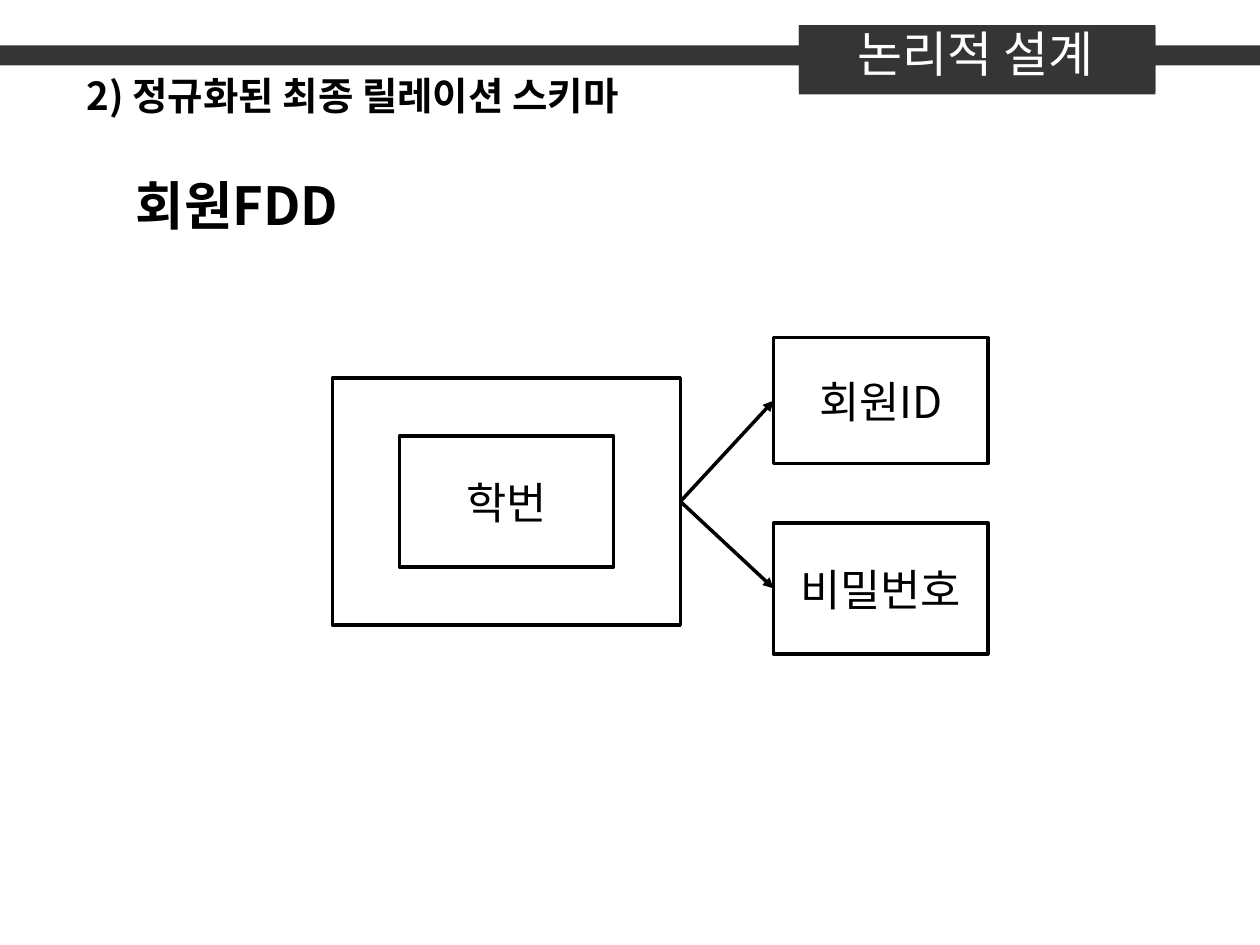
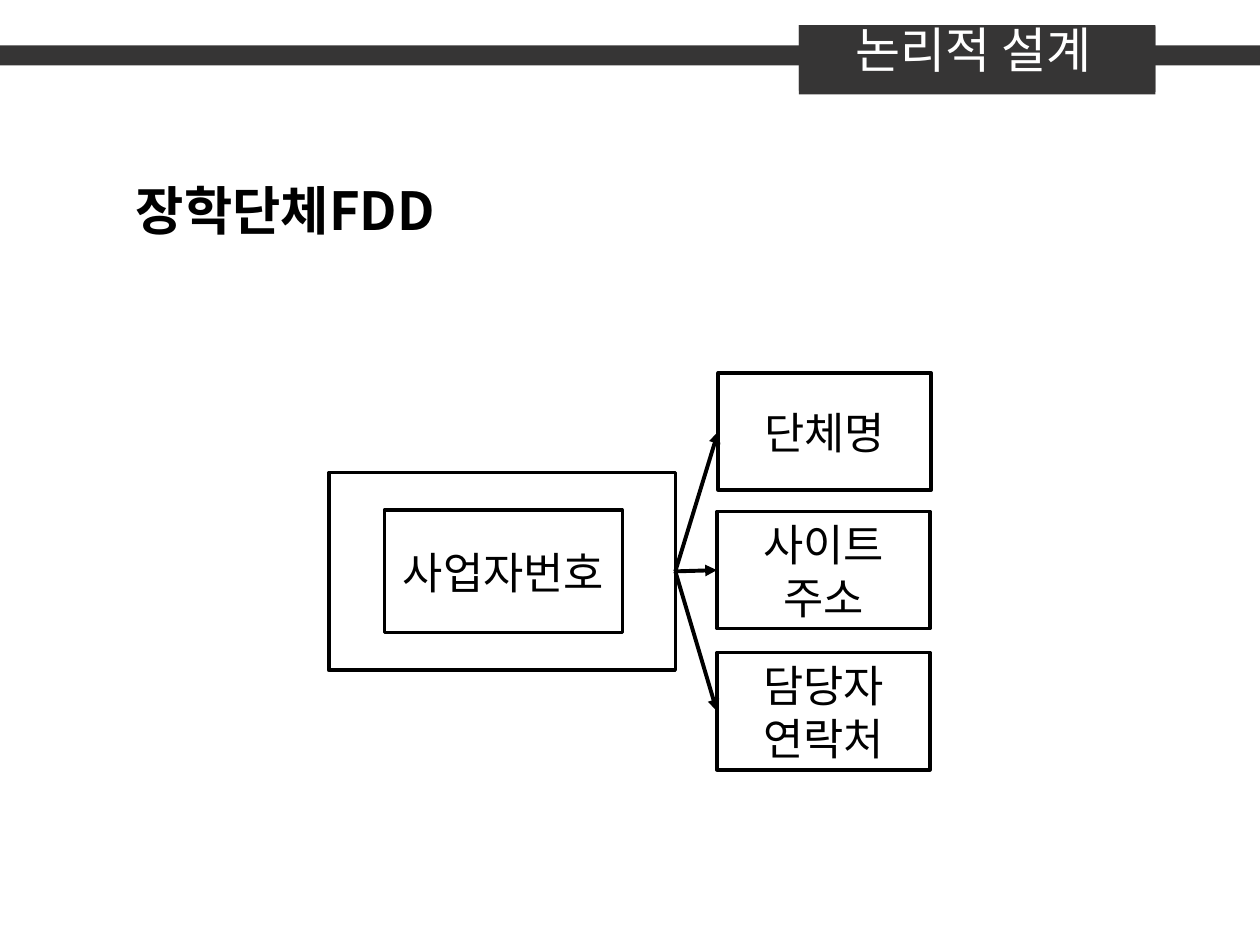
from pptx import Presentation
from pptx.dml.color import RGBColor
from pptx.enum.shapes import MSO_CONNECTOR, MSO_SHAPE
from pptx.enum.text import MSO_ANCHOR, MSO_AUTO_SIZE, PP_ALIGN
from pptx.oxml.ns import qn
from pptx.util import Inches, Pt
from lxml import etree

RECTANGLE = MSO_SHAPE.RECTANGLE
STRAIGHT = MSO_CONNECTOR.STRAIGHT
LEFT, CENTER = PP_ALIGN.LEFT, PP_ALIGN.CENTER
TOP, MIDDLE = MSO_ANCHOR.TOP, MSO_ANCHOR.MIDDLE
NO_AUTOFIT = MSO_AUTO_SIZE.NONE

FONT = "Noto Sans CJK KR"
BLACK, WHITE, BAND = "000000", "FFFFFF", "363535"
LINE_HEIGHT = 1.21
LEFT_SITE, RIGHT_SITE = 1, 3  # connection sites of a rectangle

# Header band, title tab and the two tab edges
HEADER = [
    (0, 0.36, 10, 0.16),
    (6.34, 0.2, 2.83, 0.55),
    (6.34, 0.2, 0.08, 0.52),
    (9.09, 0.21, 0.08, 0.52),
]

# Each diagram: frame around the key, the key, the attributes it determines
SLIDES = [
    {
        "title_at": (6.34, 0.13, 2.8, 0.57),
        "labels": [
            ("회원FDD", 30, (0.98, 1.32, 2.76, 0.61)),
            ("2) 정규화된 최종 릴레이션 스키마", 22, (0.59, 0.52, 4.96, 0.47)),
        ],
        "frame": (2.64, 3, 2.76, 1.96),
        "key": ("학번", (3.17, 3.46, 1.7, 1.04)),
        "attributes": [
            ("회원ID", (6.14, 2.68, 1.7, 1)),
            ("비밀번호", (6.14, 4.15, 1.7, 1.04)),
        ],
        "wrap": True,
        "arrow_width": 2,
    },
    {
        "title_at": (6.33, 0.1, 2.8, 0.57),
        "labels": [("장학단체FDD", 30, (0.98, 1.36, 3.78, 0.61))],
        "frame": (2.61, 3.75, 2.75, 1.57),
        "key": ("사업자번호", (3.05, 4.05, 1.89, 0.97)),
        "attributes": [
            ("단체명", (5.7, 2.96, 1.69, 0.93)),
            ("사이트\n주소", (5.69, 4.06, 1.69, 0.93)),
            ("담당자\n연락처", (5.69, 5.18, 1.69, 0.93)),
        ],
        "wrap": False,
        "arrow_width": 2.25,
    },
]


def color(hex_string):
    return RGBColor.from_string(hex_string)


def write(shape, text, size, ink=BLACK, bold=False, align=LEFT, anchor=TOP, wrap=True):
    frame = shape.text_frame
    frame.text = text
    frame.word_wrap = wrap
    frame.auto_size = NO_AUTOFIT
    frame.vertical_anchor = anchor
    for para in frame.paragraphs:
        para.alignment = align
        para.line_spacing = Pt(size * LINE_HEIGHT)
        para.font.name = FONT
        para.font.size = Pt(size)
        para.font.bold = bold
        para.font.color.rgb = color(ink)
        # Korean letters take the East Asian font
        latin = para._p.pPr.find(qn("a:defRPr")).find(qn("a:latin"))
        east_asian = etree.Element(qn("a:ea"), typeface=FONT)
        latin.addnext(east_asian)


deck = Presentation()
deck.slide_width, deck.slide_height = Inches(10), Inches(7.5)

for content in SLIDES:
    page = deck.slides.add_slide(deck.slide_layouts[5])
    shapes = page.shapes

    # Header
    for place in HEADER:
        band = shapes.add_shape(RECTANGLE, *map(Inches, place))
        band.shadow.inherit = False
        band.fill.solid()
        band.fill.fore_color.rgb = color(BAND)
        band.line.fill.background()

    # Title, brought in front of its tab
    title = shapes.title
    title.left, title.top, title.width, title.height = map(Inches, content["title_at"])
    write(title, "논리적 설계", 28, ink=WHITE, align=CENTER)
    shapes._spTree.append(title._element)

    # Headings
    for text, size, place in content["labels"]:
        label = shapes.add_textbox(*map(Inches, place))
        write(label, text, size, bold=True)

    # Diagram boxes
    boxes = []
    for text, place in [("", content["frame"]), content["key"], *content["attributes"]]:
        box = shapes.add_shape(RECTANGLE, *map(Inches, place))
        box.shadow.inherit = False
        box.fill.solid()
        box.fill.fore_color.rgb = color(WHITE)
        box.line.color.rgb = color(BLACK)
        box.line.width = Pt(2)
        if text:
            write(box, text, 25, align=CENTER, anchor=MIDDLE, wrap=content["wrap"])
        boxes.append(box)

    # Arrows from the key frame to each attribute
    key_frame, _, *attributes = boxes
    for attribute in attributes:
        arrow = shapes.add_connector(STRAIGHT, 0, 0, 0, 0)
        arrow.begin_connect(key_frame, RIGHT_SITE)
        arrow.end_connect(attribute, LEFT_SITE)
        arrow.line.color.rgb = color(BLACK)
        arrow.line.width = Pt(content["arrow_width"])
        etree.SubElement(arrow.line._get_or_add_ln(), qn("a:tailEnd"), type="triangle")
        etree.SubElement(arrow._element.spPr, qn("a:effectLst"))

deck.save("out.pptx")
